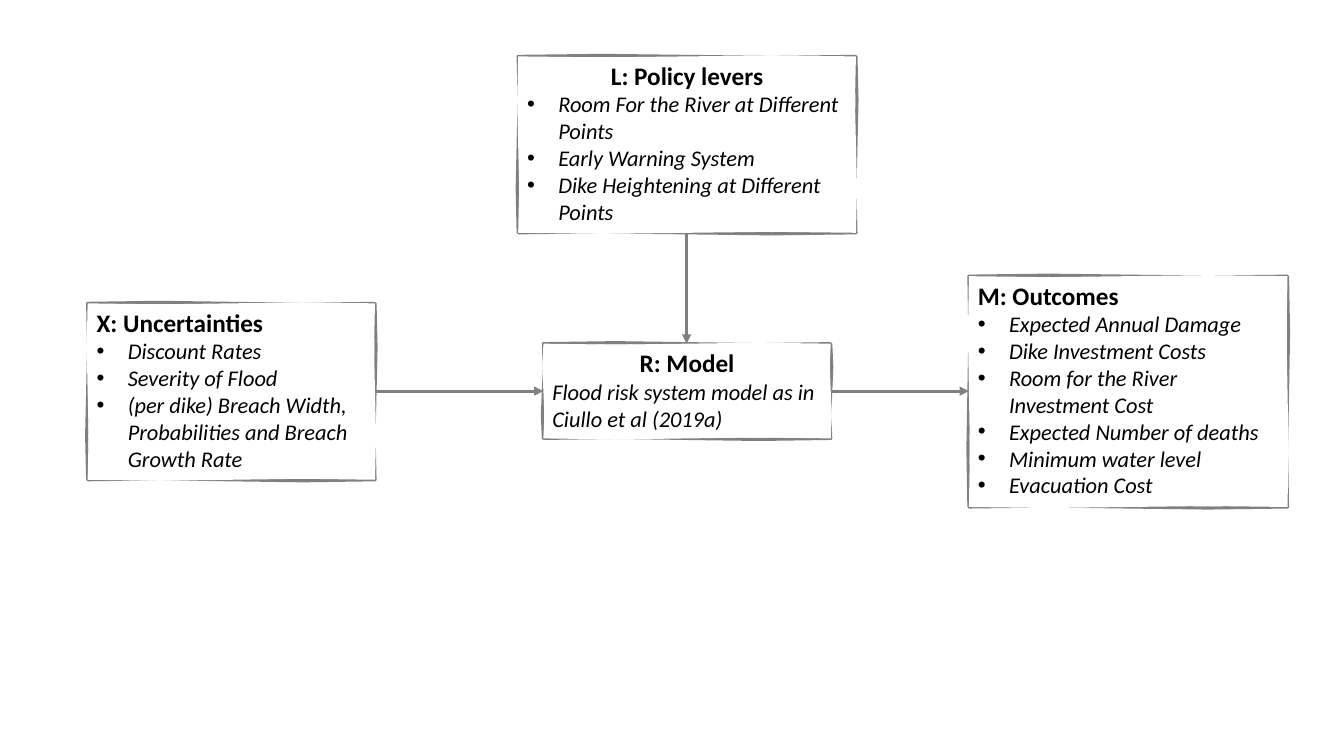
from copy import deepcopy

from pptx import Presentation
from pptx.dml.color import RGBColor
from pptx.enum import shapes, text
from pptx.oxml import parse_xml
from pptx.oxml.ns import nsdecls
from pptx.util import Inches, Pt

HUES = {"line": "808080", "fill": "FFFFFF", "text": "000000"}
FONT = "Calibri"
WAVE = 0.01
BENDS = [(0, 0), (1 / 4, WAVE), (3 / 4, -WAVE)]
INDENT = 0.31
MID_X, MID_Y = 6.81, 3.88

LEVERS = (5.14, 0.56, 3.35, 1.75)
MODEL = (5.39, 3.41, 2.85, 0.94)
UNSURE = (0.87, 3.01, 2.85, 1.75)
GOALS = (9.61, 2.74, 3.16, 2.29)


def hue(name):
    return RGBColor.from_string(HUES[name])


def style_line(line):
    line.color.rgb = hue("line")
    line.width = Pt(2.25)


def wavy_points(left, top, width, height):
    right, base = left + width, top + height
    points = [(left + width * t, top - d) for t, d in BENDS]
    points += [(right + d, top + height * t) for t, d in BENDS]
    points += [(right - width * t, base + d) for t, d in BENDS]
    points += [(left - d, base - height * t) for t, d in BENDS]
    return [(Inches(x), Inches(y)) for x, y in points]


def sketch_box(slide, box):
    points = wavy_points(*box)
    pen = slide.shapes.build_freeform(*points[0])
    pen.add_line_segments(points[1:], close=True)
    shape = pen.convert_to_shape()
    shape.shadow.inherit = False
    shape.fill.solid()
    shape.fill.fore_color.rgb = hue("fill")
    style_line(shape.line)

    edge = shape._element.xpath(".//a:path")[0]
    inner = deepcopy(edge)
    edge.set("fill", "none")
    inner.set("stroke", "0")
    for point in inner.xpath(".//a:pt"):
        point.set("x", str(int(inner.get("w")) - int(point.get("x"))))
    edge.addnext(inner)
    return shape


def add_run(para, words, size, bold=False, italic=False):
    run = para.add_run()
    run.text = words
    font = run.font
    font.name, font.size = FONT, Pt(size)
    font.bold, font.italic = bold, italic
    font.color.rgb = hue("text")


def add_bullet(para):
    props = para._p.get_or_add_pPr()
    props.set("marL", str(Inches(INDENT)))
    props.set("indent", str(-Inches(INDENT)))
    props.append(parse_xml(f'<a:buFont {nsdecls("a")} typeface="Arial"/>'))
    props.append(parse_xml(f'<a:buChar {nsdecls("a")} char="•"/>'))


def add_box(slide, box, title, lines, centred=False, bullets=True):
    frame = sketch_box(slide, box).text_frame
    frame.word_wrap = True
    frame.vertical_anchor = text.MSO_ANCHOR.TOP
    head = frame.paragraphs[0]
    head.alignment = text.PP_ALIGN.CENTER if centred else text.PP_ALIGN.LEFT
    add_run(head, title, 18, bold=True)
    for line in lines:
        para = frame.add_paragraph()
        para.alignment = text.PP_ALIGN.LEFT
        if bullets:
            add_bullet(para)
        add_run(para, line, 16, italic=True)


def add_arrow(slide, start, end):
    ends = [Inches(n) for n in (*start, *end)]
    arrow = slide.shapes.add_connector(shapes.MSO_CONNECTOR.STRAIGHT, *ends)
    style_line(arrow.line)
    arrow.line._get_or_add_ln().append(
        parse_xml(f'<a:tailEnd {nsdecls("a")} type="triangle"/>'))
    arrow._element.spPr.append(parse_xml(f'<a:effectLst {nsdecls("a")}/>'))


def main():
    deck = Presentation()
    deck.slide_width, deck.slide_height = Inches(13.33), Inches(7.5)
    slide = deck.slides.add_slide(deck.slide_layouts[6])

    add_box(slide, LEVERS, "L: Policy levers", [
        "Room For the River at Different Points",
        "Early Warning System",
        "Dike Heightening at Different Points",
    ], centred=True)
    add_box(slide, MODEL, "R: Model", [
        "Flood risk system model as in Ciullo et al (2019a)",
    ], centred=True, bullets=False)
    add_box(slide, UNSURE, "X: Uncertainties", [
        "Discount Rates",
        "Severity of Flood",
        "(per dike) Breach Width, Probabilities and Breach Growth Rate",
    ])
    add_box(slide, GOALS, "M: Outcomes", [
        "Expected Annual Damage",
        "Dike Investment Costs",
        "Room for the River Investment Cost",
        "Expected Number of deaths",
        "Minimum water level",
        "Evacuation Cost",
    ])

    add_arrow(slide, (MID_X, LEVERS[1] + LEVERS[3]), (MID_X, MODEL[1]))
    for left, right in ((UNSURE, MODEL), (MODEL, GOALS)):
        add_arrow(slide, (left[0] + left[2], MID_Y), (right[0], MID_Y))

    deck.save("out.pptx")


main()
